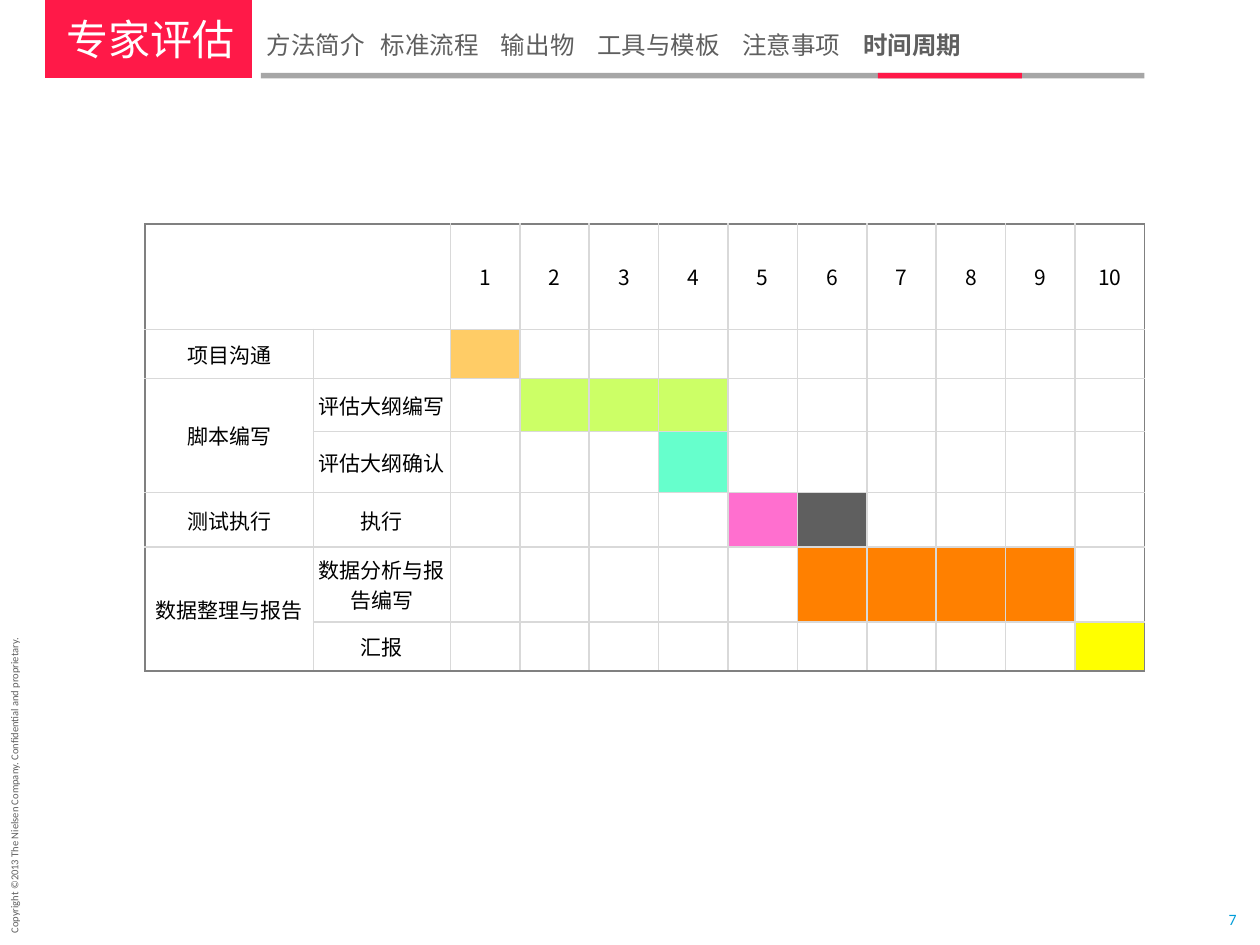
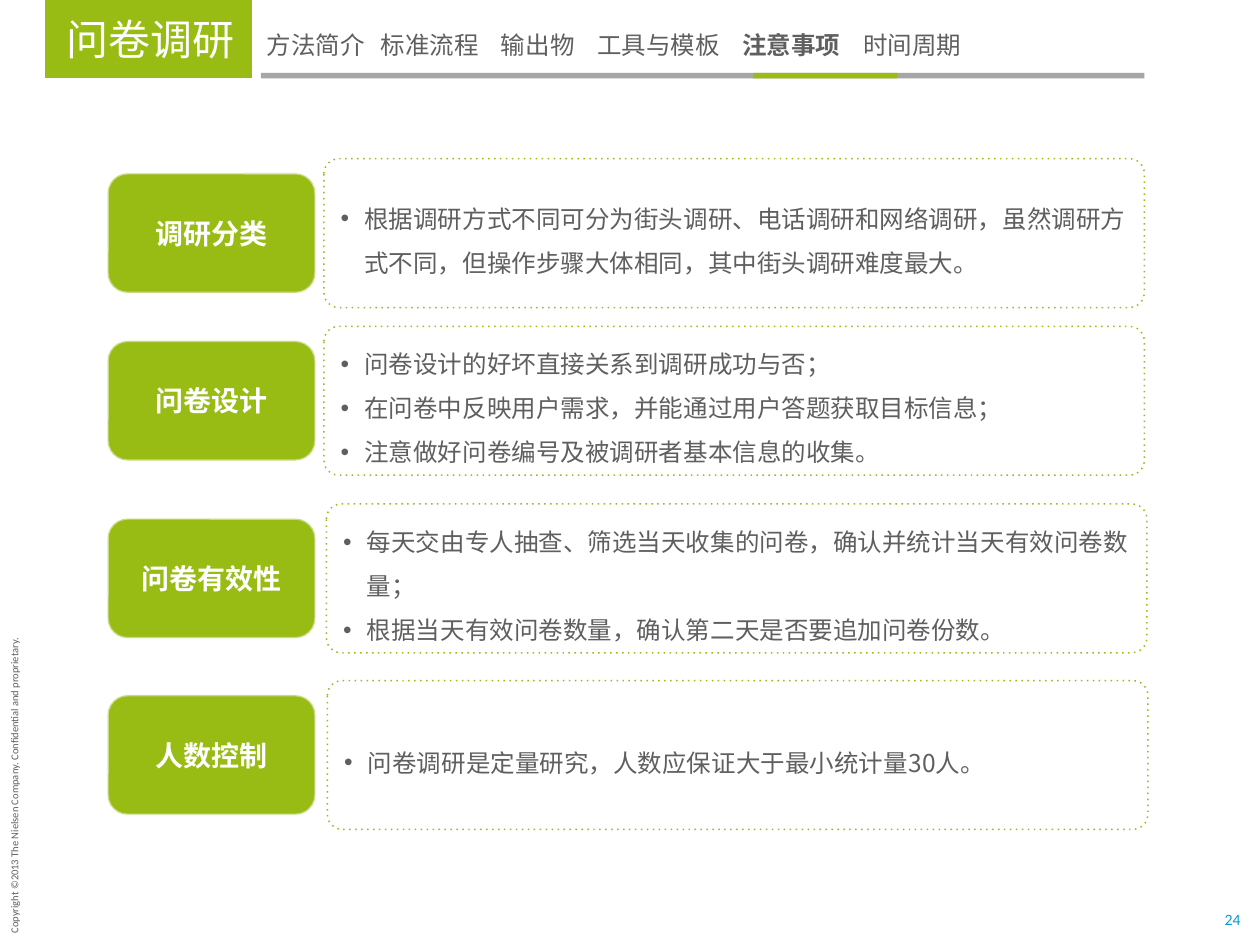
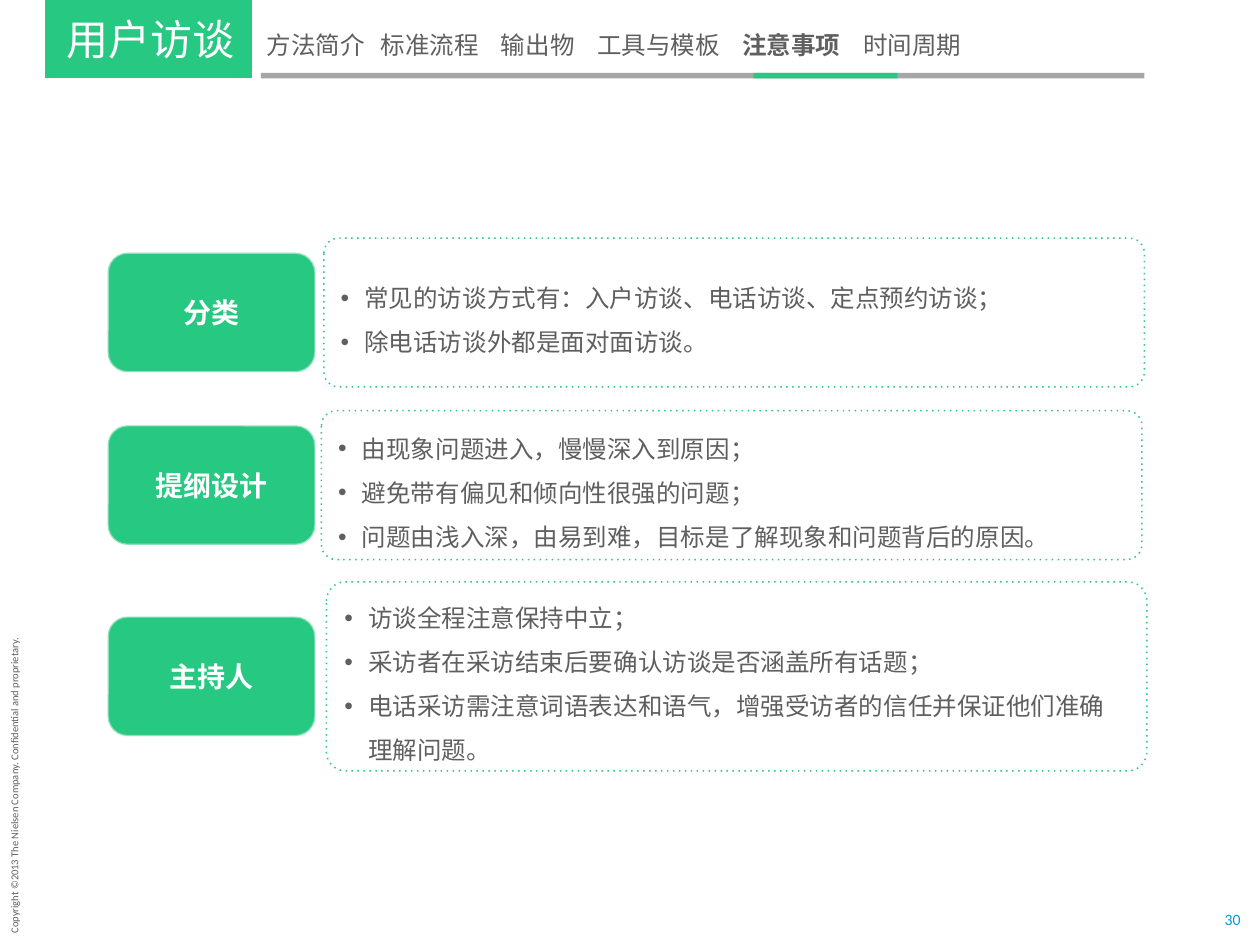
"""Build three research-method slides: a schedule and two sets of points to note."""
from lxml import etree
from pptx import Presentation
from pptx import util as u
from pptx.dml.color import RGBColor
from pptx.enum import shapes, text
from pptx.oxml.ns import qn

CJK, LATIN = "Noto Sans CJK SC", "Calibri"
WHITE = RGBColor(0xFF, 0xFF, 0xFF)
BLACK = RGBColor(0x00, 0x00, 0x00)
INK = RGBColor(0x5F, 0x5F, 0x5F)
RULE = RGBColor(0xA6, 0xA6, 0xA6)
CARD_EDGE = RGBColor(0xF9, 0xF9, 0xF9)
PAGE_BLUE = RGBColor(0x00, 0x9D, 0xD9)
GRID, FRAME = "D9D9D9", "808080"
RED = RGBColor(0xFF, 0x19, 0x48)
OLIVE = RGBColor(0x98, 0xBC, 0x14)
GREEN = RGBColor(0x27, 0xC8, 0x81)
AMBER = RGBColor(0xFF, 0xCC, 0x66)
LIME = RGBColor(0xCC, 0xFF, 0x66)
MINT = RGBColor(0x66, 0xFF, 0xCC)
PINK = RGBColor(0xFF, 0x6F, 0xCF)
ORANGE = RGBColor(0xFF, 0x80, 0x00)
YELLOW = RGBColor(0xFF, 0xFF, 0x00)

COPYRIGHT = "Copyright ©2013 The Nielsen Company. Confidential and proprietary."
SECTIONS = ["方法简介", "标准流程", "输出物", "工具与模板", "注意事项", "时间周期"]
SECTION_TABS = [2.3, 4.72, 6.66, 9.58, 12.02]
MARKER_LEFT = {"注意事项": 15.19, "时间周期": 17.7}

PAGES = [
    ("专家评估", "时间周期", RED, "7", []),
    ("问卷调研", "注意事项", OLIVE, "24", [
        ("调研分类", 6.53, 3.2, 3, [
            "根据调研方式不同可分为街头调研、电话调研和网络调研，虽然调研方式不同，但操作步骤大体相同，其中街头调研难度最大。"]),
        ("问卷设计", 6.53, 6.58, 3, [
            "问卷设计的好坏直接关系到调研成功与否；",
            "在问卷中反映用户需求，并能通过用户答题获取目标信息；",
            "注意做好问卷编号及被调研者基本信息的收集。"]),
        ("问卷有效性", 6.58, 10.16, 3, [
            "每天交由专人抽查、筛选当天收集的问卷，确认并统计当天有效问卷数量；",
            "根据当天有效问卷数量，确认第二天是否要追加问卷份数。"]),
        ("人数控制", 6.6, 13.72, 3, [
            "问卷调研是定量研究，人数应保证大于最小统计量30人。"]),
    ]),
    ("用户访谈", "注意事项", GREEN, "30", [
        ("分类", 6.53, 4.8, 3, [
            "常见的访谈方式有：入户访谈、电话访谈、定点预约访谈；",
            "除电话访谈外都是面对面访谈。"]),
        ("提纲设计", 6.48, 8.28, 3, [
            "由现象问题进入，慢慢深入到原因；",
            "避免带有偏见和倾向性很强的问题；",
            "问题由浅入深，由易到难，目标是了解现象和问题背后的原因。"]),
        ("主持人", 6.58, 11.73, 3.81, [
            "访谈全程注意保持中立；",
            "采访者在采访结束后要确认访谈是否涵盖所有话题；",
            "电话采访需注意词语表达和语气，增强受访者的信任并保证他们准确理解问题。"]),
    ]),
]

STAGES = [
    (2.12, "", "", {}),
    (0.99, "项目沟通", "", {1: AMBER}),
    (1.07, "脚本编写", "评估大纲编写", {2: LIME, 3: LIME, 4: LIME}),
    (1.23, "", "评估大纲确认", {4: MINT}),
    (1.1, "测试执行", "执行", {5: PINK, 6: INK}),
    (1.51, "数据整理与报告", "数据分析与报告编写", {day: ORANGE for day in range(6, 10)}),
    (0.99, "", "汇报", {10: YELLOW}),
]
COLUMN_WIDTHS = [3.4, 2.76] + [1.4] * 10


def style(paragraph, size, color, face=CJK, bold=False, align=text.PP_ALIGN.LEFT):
    paragraph.alignment = align
    font = paragraph.font
    font.size, font.bold, font.name = u.Pt(size), bold, face
    font.color.rgb = color
    defaults = paragraph._p.pPr.find(qn("a:defRPr"))
    etree.SubElement(defaults, qn("a:ea"), typeface=face)


def add_block(slide, preset, left, top, width, height, fill=None):
    block = slide.shapes.add_shape(preset, u.Cm(left), u.Cm(top), u.Cm(width), u.Cm(height))
    block.shadow.inherit = False
    block.line.fill.background()
    if fill is None:
        block.fill.background()
    else:
        block.fill.solid()
        block.fill.fore_color.rgb = fill
    block.text_frame.vertical_anchor = text.MSO_ANCHOR.MIDDLE
    return block


RECT = shapes.MSO_SHAPE.RECTANGLE
ROUNDED = shapes.MSO_SHAPE.ROUNDED_RECTANGLE
CENTER = text.PP_ALIGN.CENTER
MIDDLE = text.MSO_ANCHOR.MIDDLE

prs = Presentation()
prs.slide_width, prs.slide_height = u.Cm(25.4), u.Cm(19.05)

for method, section, accent, number, topics in PAGES:
    slide = prs.slides.add_slide(prs.slide_layouts[5])

    copyright_line = slide.shapes.add_textbox(u.Cm(-3), u.Cm(15.52), u.Cm(6.58), u.Cm(0.51))
    copyright_line.rotation = 270
    copyright_line.text_frame.word_wrap = False
    copyright_line.text_frame.text = COPYRIGHT
    style(copyright_line.text_frame.paragraphs[0], 6, INK, LATIN)

    page_number = slide.shapes.add_textbox(u.Cm(24.66), u.Cm(18.34), u.Cm(0.38), u.Cm(0.38))
    frame = page_number.text_frame
    frame.margin_left = frame.margin_right = frame.margin_top = frame.margin_bottom = 0
    frame.vertical_anchor, frame.word_wrap = MIDDLE, False
    frame.text = number
    style(frame.paragraphs[0], 9, PAGE_BLUE, LATIN, align=CENTER)

    title = slide.shapes.title
    title.left, title.top, title.width, title.height = u.Cm(0.91), 0, u.Cm(4.17), u.Cm(1.57)
    title.fill.solid()
    title.fill.fore_color.rgb = accent
    frame = title.text_frame
    frame.text = method
    frame.auto_size = text.MSO_AUTO_SIZE.NONE
    frame.vertical_anchor, frame.word_wrap = MIDDLE, True
    frame.margin_left, frame.margin_right = u.Cm(0.44), 0
    style(frame.paragraphs[0], 24, WHITE)

    add_block(slide, RECT, 5.26, 1.47, 17.81, 0.11, RULE)
    add_block(slide, RECT, MARKER_LEFT[section], 1.47, 2.9, 0.11, accent)

    navigation = slide.shapes.add_textbox(u.Cm(5.13), u.Cm(0.48), u.Cm(17.58), u.Cm(0.86))
    navigation.text_frame.word_wrap = True
    trail = navigation.text_frame.paragraphs[0]
    stops = etree.SubElement(trail._p.get_or_add_pPr(), qn("a:tabLst"))
    for stop in SECTION_TABS:
        etree.SubElement(stops, qn("a:tab"), pos=str(u.Cm(stop)), algn="l")
    style(trail, 14, INK)
    for index, name in enumerate(SECTIONS):
        entry = trail.add_run()
        entry.text = "\t" + name if index else name
        if name == section:
            entry.font.bold = True

    for topic, panel_left, panel_top, panel_height, points in topics:
        card_top = panel_top + (panel_height - 2.41) / 2
        card = add_block(slide, ROUNDED, 2.17, card_top, 4.19, 2.41, accent)
        card.line.color.rgb = CARD_EDGE
        card.line.width = u.Pt(1.35)
        edge = card._element.spPr.find(qn("a:ln")).find(".//" + qn("a:srgbClr"))
        etree.SubElement(edge, qn("a:alpha"), val="50000")
        card.text_frame.text = topic
        style(card.text_frame.paragraphs[0], 16, WHITE, bold=True, align=CENTER)

        panel = add_block(slide, ROUNDED, panel_left, panel_top, 16.54, panel_height)
        panel.adjustments[0] = 0.1
        panel.line.color.rgb = accent
        panel.line.width = u.Pt(0.85)
        panel.line.dash_style = 3
        panel._element.spPr.find(".//" + qn("a:prstDash")).set("val", "dot")
        panel.text_frame.text = "\n".join(points)
        for point in panel.text_frame.paragraphs:
            point.line_spacing = 1.5
            properties = point._p.get_or_add_pPr()
            properties.set("marL", str(u.Cm(0.48)))
            properties.set("indent", str(-u.Cm(0.48)))
            etree.SubElement(properties, qn("a:buFont"), typeface="Arial")
            etree.SubElement(properties, qn("a:buChar"), char="•")
            style(point, 14, INK)

schedule = prs.slides[0].shapes.add_table(
    len(STAGES), len(COLUMN_WIDTHS), u.Cm(2.92), u.Cm(4.52),
    u.Cm(sum(COLUMN_WIDTHS)), u.Cm(sum(stage[0] for stage in STAGES))).table
schedule.first_row = schedule.horz_banding = False
for column, width in zip(schedule.columns, COLUMN_WIDTHS):
    column.width = u.Cm(width)
schedule.cell(0, 0).merge(schedule.cell(0, 1))
for first in (2, 5):
    schedule.cell(first, 0).merge(schedule.cell(first + 1, 0))

for row, (height, stage, task, days) in enumerate(STAGES):
    schedule.rows[row].height = u.Cm(height)
    for column in range(len(COLUMN_WIDTHS)):
        cell = schedule.cell(row, column)
        day = column - 1
        header = str(day) if row == 0 else ""
        cell.text = (stage, task)[column] if column < 2 else header
        cell.vertical_anchor = MIDDLE
        cell.margin_left = cell.margin_right = cell.margin_top = cell.margin_bottom = 0
        style(cell.text_frame.paragraphs[0], 12, BLACK, align=CENTER)
        outer = {
            "a:lnL": column == 0,
            "a:lnR": column == len(COLUMN_WIDTHS) - 1,
            "a:lnT": row == 0,
            "a:lnB": row + cell.span_height == len(STAGES),
        }
        for side, on_frame in outer.items():
            border = etree.SubElement(cell._tc.get_or_add_tcPr(), qn(side), w=str(u.Pt(1)))
            paint = etree.SubElement(border, qn("a:solidFill"))
            etree.SubElement(paint, qn("a:srgbClr"), val=FRAME if on_frame else GRID)
        if column > 1 and day in days:
            cell.fill.solid()
            cell.fill.fore_color.rgb = days[day]
        else:
            cell.fill.background()

prs.save("out.pptx")
